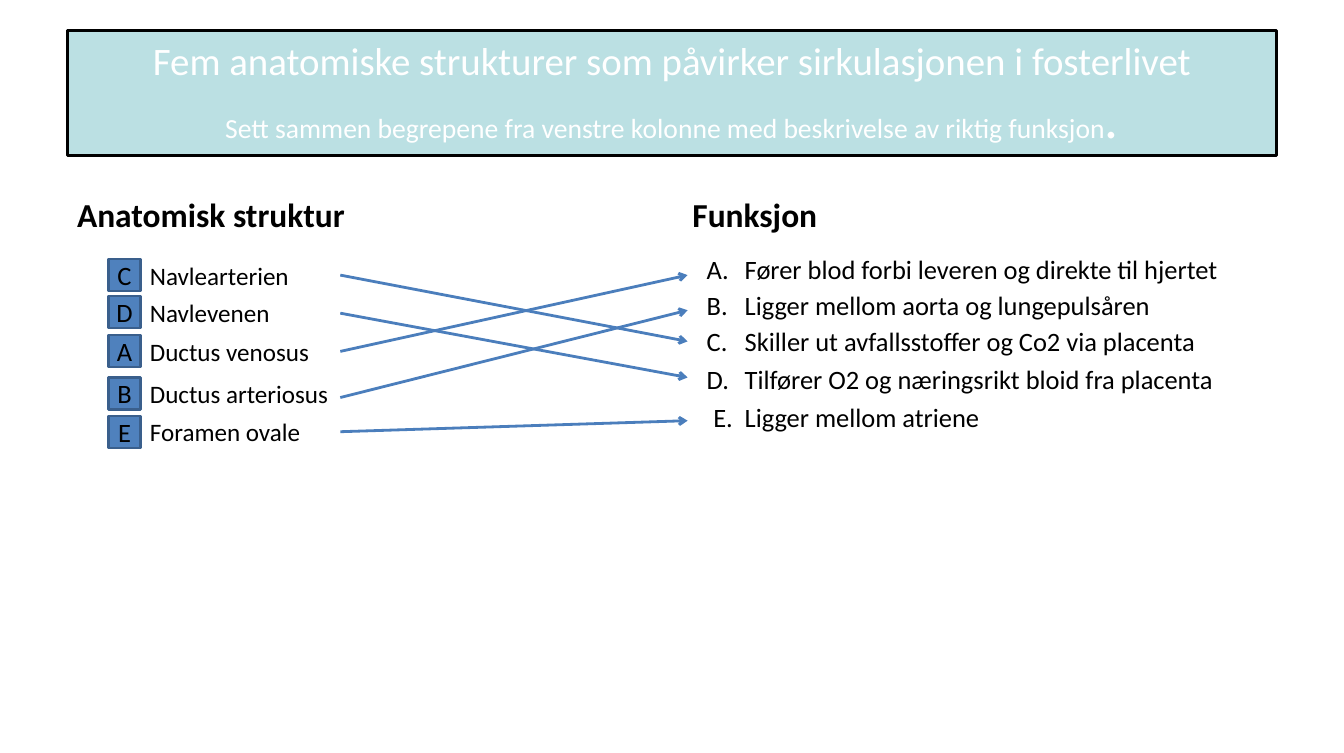
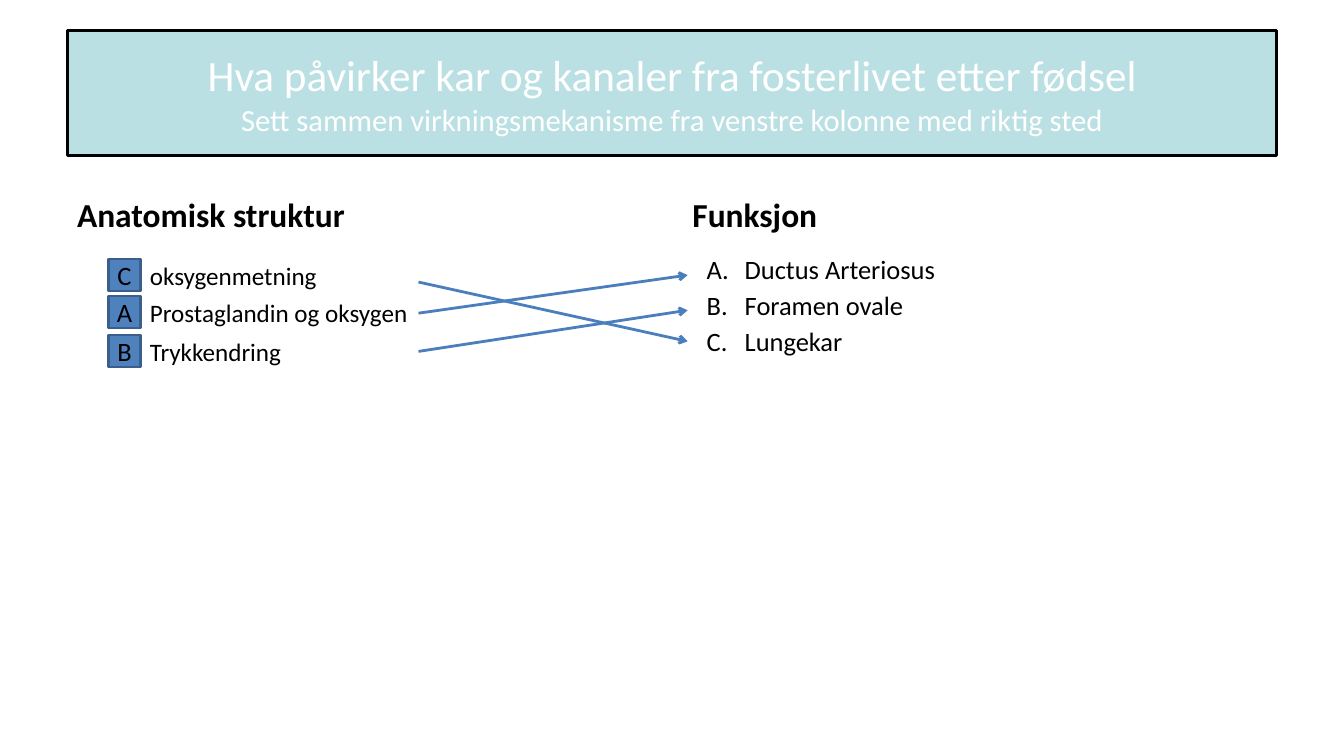
from dataclasses import dataclass

import pptx
import pptx.dml.color
import pptx.enum.shapes
import pptx.enum.text
import pptx.oxml
import pptx.oxml.ns
import pptx.util

Pt = pptx.util.Pt
ALIGN = pptx.enum.text.PP_ALIGN
ANCHOR = pptx.enum.text.MSO_ANCHOR
RECT = pptx.enum.shapes.MSO_SHAPE.RECTANGLE
STRAIGHT = pptx.enum.shapes.MSO_CONNECTOR.STRAIGHT

FONT = "Calibri"
COLORS = {
    "band": "BBE0E3",
    "badge": "4F81BD",
    "edge": "3A5F8C",
    "arrow": "4B7EBC",
    "black": "000000",
    "white": "FFFFFF",
}

ROW = 23  # height of a row and side of a badge
LEFT_TOPS = (185.8, 212.4, 240.5, 270.7, 298.1)
RIGHT_TOPS = (181.4, 207.4, 233.3, 260.6, 287.3)
HEADS = dict(zip("ABCDE", (197.3, 222.5, 244.8, 270.7, 301.7)))
HEAD_X = 493.2


@dataclass
class Run:
    text: str
    size: float


@dataclass
class Term:
    """A left-hand term, the letter it matches and the height its arrow starts at."""
    text: str
    key: str
    start: float


@dataclass
class Task:
    title: list[list[Run]]
    terms: list[Term]
    roles: list[str]
    tail_x: float


TASKS = [
    Task(
        [
            [Run("Fem anatomiske strukturer som påvirker sirkulasjonen i fosterlivet", 27.9)],
            [
                Run("Sett sammen begrepene fra venstre kolonne med beskrivelse av riktig funksjon", 19.8),
                Run(".", 39.6),
            ],
        ],
        [
            Term("Navlearterien", "C", 197.3),
            Term("Navlevenen", "D", 224.6),
            Term("Ductus venosus", "A", 252),
            Term("Ductus arteriosus", "B", 285.1),
            Term("Foramen ovale", "E", 309.6),
        ],
        [
            "Fører blod forbi leveren og direkte til hjertet",
            "Ligger mellom aorta og lungepulsåren",
            "Skiller ut avfallsstoffer og Co2 via placenta",
            "Tilfører O2 og næringsrikt bloid fra placenta",
            "Ligger mellom atriene",
        ],
        244.1,
    ),
    Task(
        [
            [Run("Hva påvirker kar og kanaler fra fosterlivet etter fødsel", 31)],
            [Run("Sett sammen virkningsmekanisme fra venstre kolonne med riktig sted", 22)],
        ],
        [
            Term("oksygenmetning", "C", 202.3),
            Term("Prostaglandin og oksygen", "A", 224.6),
            Term("Trykkendring", "B", 252),
        ],
        ["Ductus Arteriosus", "Foramen ovale", "Lungekar"],
        300.2,
    ),
]


def rgb(name: str) -> pptx.dml.color.RGBColor:
    return pptx.dml.color.RGBColor.from_string(COLORS[name])


def style(font, size: float | None, color: str = "black", bold: bool = False) -> None:
    font.name, font.bold = FONT, bold
    font.color.rgb = rgb(color)
    if size:
        font.size = Pt(size)


def put_text(shape, text: str, size: float, align=ALIGN.LEFT, anchor=ANCHOR.TOP) -> None:
    """Fill a shape with one line of black text and no margins."""
    frame = shape.text_frame
    frame.word_wrap = True
    frame.vertical_anchor = anchor
    frame.margin_left = frame.margin_right = frame.margin_top = frame.margin_bottom = 0
    line = frame.paragraphs[0]
    line.text, line.alignment = text, align
    style(line.font, size)


def add_label(slide, left: float, top: float, width: float, text: str, size: float, **place) -> None:
    box = slide.shapes.add_textbox(Pt(left), Pt(top), Pt(width), Pt(ROW))
    put_text(box, text, size, **place)


def add_rect(slide, left: float, top: float, width: float, height: float,
             fill: str, edge: str, weight: float):
    shape = slide.shapes.add_shape(RECT, Pt(left), Pt(top), Pt(width), Pt(height))
    shape.shadow.inherit = False
    shape.fill.solid()
    shape.fill.fore_color.rgb = rgb(fill)
    shape.line.color.rgb = rgb(edge)
    shape.line.width = Pt(weight)
    return shape


def add_title(slide, lines: list[list[Run]]) -> None:
    frame = add_rect(slide, 48.2, 21.6, 867.6, 90, "band", "black", 2).text_frame
    frame.word_wrap = True
    frame.vertical_anchor = ANCHOR.MIDDLE
    for index, runs in enumerate(lines):
        line = frame.add_paragraph() if index else frame.paragraphs[0]
        line.alignment = ALIGN.CENTER
        style(line.font, None, "white")
        for part in runs:
            run = line.add_run()
            run.text = part.text
            run.font.size = Pt(part.size)


def add_head(slide, left: float, text: str) -> None:
    """Add a column heading."""
    box = slide.shapes.add_textbox(Pt(left), Pt(121), Pt(426), Pt(50.4))
    frame = box.text_frame
    frame.word_wrap = True
    frame.vertical_anchor = ANCHOR.BOTTOM
    line = frame.paragraphs[0]
    line.text = text
    line.space_before = Pt(4.8)
    style(line.font, 24, bold=True)


def add_arrow(slide, left: float, start: float, end: float) -> None:
    arrow = slide.shapes.add_connector(STRAIGHT, Pt(left), Pt(start), Pt(HEAD_X), Pt(end))
    arrow.line.color.rgb = rgb("arrow")
    arrow.line.width = Pt(2)
    tip = pptx.oxml.parse_xml(f'<a:tailEnd {pptx.oxml.ns.nsdecls("a")} type="arrow"/>')
    arrow.line._get_or_add_ln().append(tip)
    bare = pptx.oxml.parse_xml(f'<a:effectLst {pptx.oxml.ns.nsdecls("a")}/>')
    arrow._element.spPr.append(bare)


def add_task(deck, task: Task) -> None:
    slide = deck.slides.add_slide(deck.slide_layouts[6])
    add_head(slide, 48.2, "Anatomisk struktur")
    add_head(slide, 489.6, "Funksjon")
    add_title(slide, task.title)
    for key, top, role in zip("ABCDE", RIGHT_TOPS, task.roles):
        align = ALIGN.CENTER if key == "E" else ALIGN.LEFT
        add_label(slide, 506.9, top, 23.6, f"{key}.", 19, align=align)
        add_label(slide, 534.2, top, 358.4, role, 19)
    for term in task.terms:
        add_arrow(slide, task.tail_x, term.start, HEADS[term.key])
    for top, term in zip(LEFT_TOPS, task.terms):
        badge = add_rect(slide, 77.8, top, ROW, ROW, "badge", "edge", 1.5)
        put_text(badge, term.key, 19, ALIGN.CENTER)
        add_label(slide, 107.5, top, 360.7, term.text, 18, anchor=ANCHOR.MIDDLE)


def main() -> None:
    deck = pptx.Presentation()
    deck.slide_width, deck.slide_height = Pt(964), Pt(540)
    for task in TASKS:
        add_task(deck, task)
    deck.save("out.pptx")


if __name__ == "__main__":
    main()
